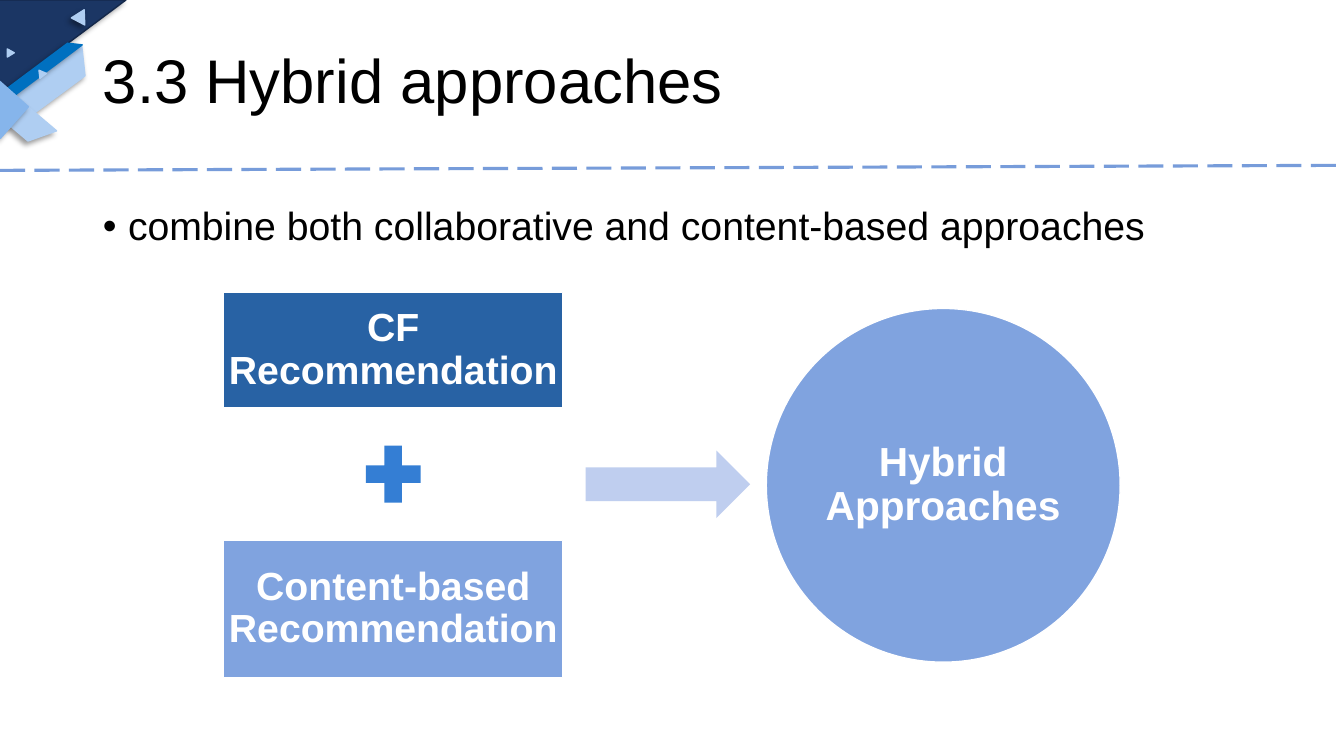
from dataclasses import dataclass

from lxml.etree import SubElement
from pptx import Presentation
from pptx.dml.color import RGBColor
from pptx.enum.dml import MSO_LINE
from pptx.enum.shapes import MSO_CONNECTOR, MSO_SHAPE as Preset
from pptx.enum.text import MSO_ANCHOR, MSO_AUTO_SIZE, PP_ALIGN
from pptx.oxml.ns import qn
from pptx.util import Inches, Pt

COLORS = {
    "navy": "1B3664", "navy_edge": "14284A", "pale": "AFCEF2", "sky": "86B5EB",
    "azure": "0070C0", "dash": "779CDA", "deep": "2862A4", "plus": "347ED4",
    "soft": "80A3DF", "arrow": "BFCEEF", "white": "FFFFFF", "black": "000000",
}
FONT = "Arial"


@dataclass
class Box:
    left: float
    top: float
    width: float
    height: float

    def share(self, left, top, width, height):
        """Return the box at the given percentages of this one."""
        return Box(self.left + self.width * left / 100,
                   self.top + self.height * top / 100,
                   self.width * width / 100, self.height * height / 100)

    def lengths(self):
        return [Inches(n) for n in (self.left, self.top, self.width, self.height)]


def color(name):
    return RGBColor.from_string(COLORS[name])


def add_preset(page, preset, box, fill, edge=None):
    shape = page.shapes.add_shape(preset, *box.lengths())
    shape.shadow.inherit = False
    shape.fill.solid()
    shape.fill.fore_color.rgb = color(fill)
    if edge:
        shape.line.color.rgb = color(edge)
        shape.line.width = Pt(1)
    else:
        shape.line.fill.background()
    return shape


def add_shadow(shape):
    effects = shape._element.spPr.find(qn("a:effectLst"))
    shadow = SubElement(effects, qn("a:outerShdw"), blurRad=str(Pt(4)),
                        dist=str(Pt(3)), dir="8100000", algn="tr", rotWithShape="0")
    tone = SubElement(shadow, qn("a:srgbClr"), val=COLORS["black"])
    SubElement(tone, qn("a:alpha"), val="40000")


def format_text(frame, text, size, tone, bold=False, align=PP_ALIGN.LEFT):
    frame.text = text
    frame.word_wrap = True
    frame.auto_size = MSO_AUTO_SIZE.NONE
    para = frame.paragraphs[0]
    para.alignment = align
    para.line_spacing = 0.9
    font = para.runs[0].font
    font.name, font.size, font.bold = FONT, Pt(size), bold
    font.color.rgb = color(tone)
    return para


def draw_corner(page, box):
    pieces = [
        (Preset.TRAPEZOID, (3, 71, 95, 26), 143.6, 0.58, "pale", "pale", True),
        (Preset.RIGHT_TRIANGLE, (-1, 0, 126, 94), 0, None, "navy", "navy_edge", True),
        (Preset.ISOSCELES_TRIANGLE, (73, 9, 15, 13), 27.7, None, "pale", "pale", True),
        (Preset.ISOSCELES_TRIANGLE, (5, 50, 8, 7), 209, None, "pale", "pale", False),
        (Preset.TRAPEZOID, (-7, 64, 95, 10), 323.2, 1.05, "azure", "azure", True),
        (Preset.ISOSCELES_TRIANGLE, (37, 71, 8, 7), 203, None, "pale", "pale", False),
        (Preset.TRAPEZOID, (-6, 107, 61, 26), 220.3, 0.58, "pale", "pale", True),
        (Preset.RIGHT_TRIANGLE, (-19, 88, 38, 42), 221.6, None, "sky", "sky", True),
    ]
    for preset, place, turn, slant, fill, edge, shaded in pieces:
        shape = add_preset(page, preset, box.share(*place), fill, edge)
        shape.rotation = turn
        if slant:
            shape.adjustments[0] = slant
        if shaded:
            add_shadow(shape)
        if fill == "navy":
            shape._element.spPr.find(qn("a:xfrm")).set("flipV", "1")


def draw_divider(page, box):
    left, top, width, height = box.lengths()
    line = page.shapes.add_connector(
        MSO_CONNECTOR.STRAIGHT, left, top + height, left + width, top)
    line.line.color.rgb = color("dash")
    line.line.width = Pt(2.25)
    line.line.dash_style = MSO_LINE.LONG_DASH
    SubElement(line._element.spPr, qn("a:effectLst"))


def fill_title(page, box, text):
    title = page.shapes.title
    title.left, title.top, title.width, title.height = box.lengths()
    format_text(title.text_frame, text, 44, "black")
    title.text_frame.vertical_anchor = MSO_ANCHOR.MIDDLE


def fill_body(page, box, text):
    body = page.placeholders[1]
    body.left, body.top, body.width, body.height = box.lengths()
    para = format_text(body.text_frame, text, 28, "black")
    para.space_before = Pt(10)
    props = para._p.get_or_add_pPr()
    props.set("marL", str(Inches(0.25)))
    props.set("indent", str(-Inches(0.25)))
    SubElement(props, qn("a:buFont"), typeface=FONT)
    SubElement(props, qn("a:buChar"), char="•")


def draw_diagram(page, box):
    labelled = [
        (Preset.RECTANGLE, (0, 0, 37.8, 30.1), "deep", "CF Recommendation", 28),
        (Preset.RECTANGLE, (0, 64.4, 37.8, 35.6), "soft",
         "Content-based Recommendation", 28),
        (Preset.OVAL, (60.52, 4.19, 39.48, 91.88), "soft", "Hybrid Approaches", 29),
    ]
    for preset, place, fill, text, size in labelled:
        shape = add_preset(page, preset, box.share(*place), fill, "white")
        frame = shape.text_frame
        format_text(frame, text, size, "white", True, PP_ALIGN.CENTER)
        frame.vertical_anchor = MSO_ANCHOR.MIDDLE
        frame.margin_left = frame.margin_right = Inches(0.04)
        frame.margin_top = frame.margin_bottom = Inches(0.04)
    add_preset(page, Preset.MATH_PLUS, box.share(14.74, 37.17, 8.32, 20.16), "plus")
    add_preset(page, Preset.RIGHT_ARROW, box.share(40.38, 41.1, 18.34, 17.54), "arrow")


def main():
    deck = Presentation()
    slide_box = Box(0, 0, 13.33, 7.5)
    deck.slide_width, deck.slide_height = slide_box.lengths()[2:]
    page = deck.slides.add_slide(deck.slide_layouts[1])
    draw_corner(page, slide_box.share(0, 0, 7.5, 13.33))
    draw_divider(page, slide_box.share(0, 21.87, 100, 0.67))
    fill_title(page, slide_box.share(6.9, 1.33, 86.25, 19.33), "3.3 Hybrid approaches")
    fill_body(page, slide_box.share(6.9, 26.67, 86.25, 63.47),
              "combine both collaborative and content-based approaches")
    draw_diagram(page, slide_box.share(16.65, 38.67, 66.7, 50.93))
    deck.save("out.pptx")


if __name__ == "__main__":
    main()
